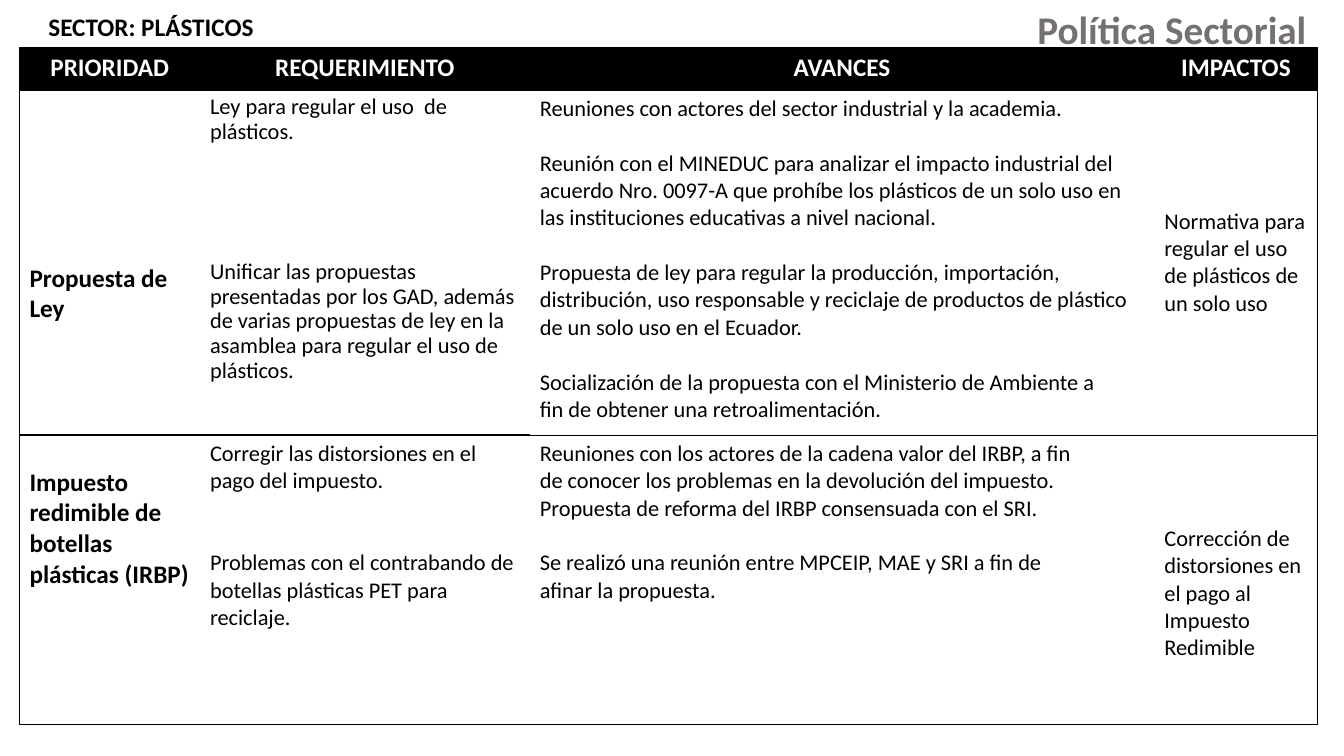
from lxml import etree
from pptx import Presentation
from pptx.dml.color import RGBColor
from pptx.enum.text import MSO_ANCHOR, PP_ALIGN
from pptx.oxml.ns import qn
from pptx.util import Cm, Pt

LEFT, CENTER, RIGHT = PP_ALIGN.LEFT, PP_ALIGN.CENTER, PP_ALIGN.RIGHT
TOP, MIDDLE = MSO_ANCHOR.TOP, MSO_ANCHOR.MIDDLE
BLACK, WHITE, GRAY = "000000", "FFFFFF", "767171"
LINE = 19.5

COLUMN_WIDTHS = [4.55, 8.31, 15.74, 4.11]
ROW_HEIGHTS = [1.07, 8.69, 7.29]
HEADINGS = ["PRIORIDAD", "REQUERIMIENTO", "AVANCES", "IMPACTOS"]
HEADING = {"size": 18, "bold": True, "color": WHITE, "align": CENTER}
PRIORITY = {"size": 18, "bold": True}
BODY = {"size": 16}
TIGHT = {"size": 16, "line_spacing": 0.9}

PRIORITIES = [
    [
        ([["Propuesta de Ley"]], PRIORITY, {"margin_top": Cm(4.36)}),
        ([["Ley para regular el uso  de plásticos."],
          ["Unificar las propuestas presentadas por los GAD, además de varias "
           "propuestas de ley en la asamblea para regular el uso de plásticos."]],
         {**TIGHT, "gap": 82.5}, {}),
        ([["Reuniones con actores del sector industrial y la academia."],
          ["Reunión con el MINEDUC para analizar el impacto industrial del",
           "acuerdo Nro. 0097-A que prohíbe los plásticos de un solo uso en",
           "las instituciones educativas a nivel nacional."],
          ["Propuesta de ley para regular la producción, importación,",
           "distribución, uso responsable y reciclaje de productos de plástico",
           "de un solo uso en el Ecuador."],
          ["Socialización de la propuesta con el Ministerio de Ambiente a",
           "fin de obtener una retroalimentación."]],
         {**BODY, "gap": LINE}, {}),
        ([["Normativa para regular el uso de plásticos de un solo uso"]],
         BODY, {"vertical_anchor": MIDDLE}),
    ],
    [
        ([["Impuesto redimible de botellas plásticas (IRBP)"]],
         PRIORITY, {"margin_top": Cm(0.81)}),
        ([["Corregir las distorsiones en el pago del impuesto."],
          ["Problemas con el contrabando de botellas plásticas PET para reciclaje."]],
         {**BODY, "gap": 2 * LINE}, {}),
        ([["Reuniones con los actores de la cadena valor del IRBP, a fin",
           "de conocer los problemas en la devolución del impuesto.",
           "Propuesta de reforma del IRBP consensuada con el SRI."],
          ["Se realizó una reunión entre MPCEIP, MAE y SRI a fin de",
           "afinar la propuesta."]],
         {**BODY, "gap": LINE}, {}),
        ([["Corrección de distorsiones en el pago al Impuesto Redimible"]],
         BODY, {"vertical_anchor": MIDDLE, "margin_top": Cm(0.82)}),
    ],
]


def rgb(color):
    return RGBColor.from_string(color)


def set_all(target, values):
    for name, value in values.items():
        setattr(target, name, value)


def write(frame, groups, size, bold=False, color=BLACK, align=LEFT, gap=0, line_spacing=1.0):
    paragraph = None
    for group in groups:
        for position, text in enumerate(group):
            first = paragraph is None
            paragraph = frame.paragraphs[0] if first else frame.add_paragraph()
            spacing = {"alignment": align, "line_spacing": line_spacing}
            if position == 0 and not first:
                spacing["space_before"] = Pt(gap)
            set_all(paragraph, spacing)
            run = paragraph.add_run()
            run.text = text
            set_all(run.font, {"name": "Calibri", "size": Pt(size), "bold": bold})
            run.font.color.rgb = rgb(color)


def draw_borders(cell, widths):
    properties = cell._tc.get_or_add_tcPr()
    for side in "LRTB":
        width = widths.get(side)
        border = etree.SubElement(properties, qn(f"a:ln{side}"))
        if width:
            border.set("w", str(Pt(width)))
            fill = etree.SubElement(border, qn("a:solidFill"))
            etree.SubElement(fill, qn("a:srgbClr")).set("val", BLACK)
        else:
            etree.SubElement(border, qn("a:noFill"))


def cell_borders(row, column):
    divider = 1 if column < 2 else 0.5
    widths = {"T": divider if row == 2 else 0.5, "B": [0.5, divider, 1][row]}
    if column == 0:
        widths["L"] = 0.5
    if column == len(HEADINGS) - 1:
        widths["R"] = 0.5
    return widths


def add_label(slide, box, text, **style):
    frame = slide.shapes.add_textbox(*[Cm(length) for length in box]).text_frame
    set_all(frame, {"word_wrap": True, "vertical_anchor": TOP})
    write(frame, [[text]], bold=True, **style)


def add_header(slide, left, top, width):
    add_label(slide, (left + 0.97, top + 0.15, 8.46, 1.03), "SECTOR: PLÁSTICOS", size=18)
    add_label(slide, (left + width - 10.95, top, 10.95, 1.45), "Política Sectorial",
              size=28, color=GRAY, align=RIGHT)


def add_priorities(slide, left, top):
    rows = [[([[heading]], HEADING, {}) for heading in HEADINGS]] + PRIORITIES
    table = slide.shapes.add_table(
        len(rows), len(HEADINGS), Cm(left), Cm(top),
        Cm(sum(COLUMN_WIDTHS)), Cm(sum(ROW_HEIGHTS))).table
    set_all(table, {"first_row": False, "horz_banding": False})
    for column, width in zip(table.columns, COLUMN_WIDTHS):
        column.width = Cm(width)
    for row, height in zip(table.rows, ROW_HEIGHTS):
        row.height = Cm(height)
    for r, contents in enumerate(rows):
        for c, (groups, style, layout) in enumerate(contents):
            cell = table.cell(r, c)
            draw_borders(cell, cell_borders(r, c))
            cell.fill.solid()
            cell.fill.fore_color.rgb = rgb(BLACK if r == 0 else WHITE)
            set_all(cell, {"vertical_anchor": TOP, **layout})
            write(cell.text_frame, groups, **style)


def main():
    presentation = Presentation()
    set_all(presentation, {"slide_width": Cm(33.87), "slide_height": Cm(19.05)})
    slide = presentation.slides.add_slide(presentation.slide_layouts[6])
    add_priorities(slide, 0.49, 1.2)
    add_header(slide, 0, 0, 33.17)
    presentation.save("out.pptx")


if __name__ == "__main__":
    main()
